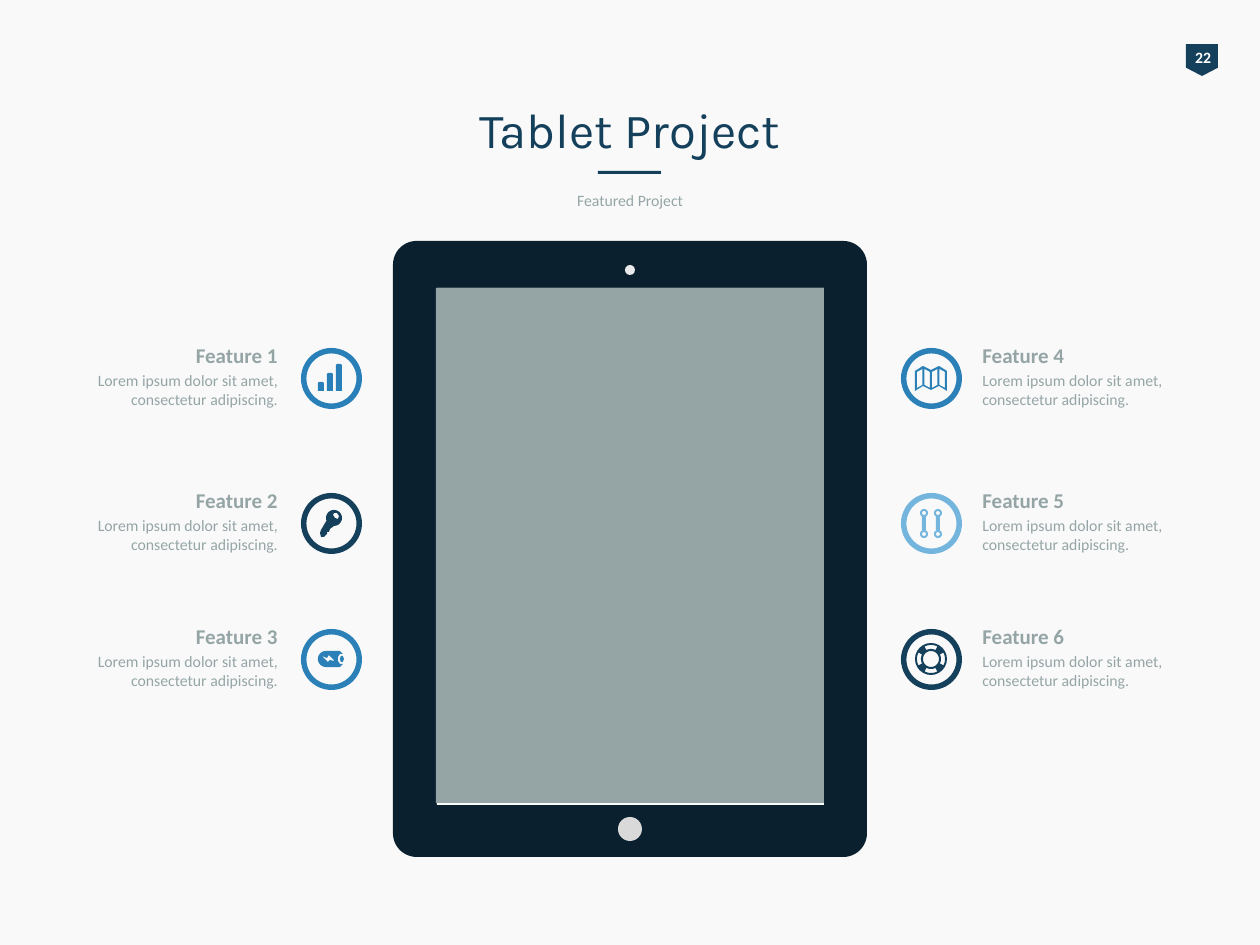
from math import cos, radians, sin

from pptx import Presentation
from pptx.dml.color import RGBColor
from pptx.enum.shapes import MSO_SHAPE
from pptx.enum.text import MSO_ANCHOR, MSO_AUTO_SIZE, PP_ALIGN
from pptx.util import Pt

PX = 914400 / 126
PALE, GREY, NAVY, INK = "F9F9F9", "95A5A6", "15405B", "0A202E"
BLUE, SKY = "2A80B7", "74B5DE"
RING = 61


def emu(n):
    return round(n * PX)


def color(code):
    return RGBColor.from_string(code)


def arc(x, y, r, start=0, end=360):
    """Points along a circle, in degrees clockwise from the right."""
    steps = 24
    turns = [radians(start + (end - start) * i / steps) for i in range(steps + 1)]
    return [(x + r * cos(t), y + r * sin(t)) for t in turns]


class Deck:
    """Holds the style and the current slide; lengths are in px."""

    font = "Calibri"

    def __init__(self):
        self.file = Presentation()
        self.file.slide_width, self.file.slide_height = emu(1260), emu(945)
        self.slide = self.file.slides.add_slide(self.file.slide_layouts[0])
        self.shapes = self.slide.shapes
        self.slide.background.fill.solid()
        self.slide.background.fill.fore_color.rgb = color(PALE)

    def paint(self, shape, fill):
        shape.shadow.inherit = False
        shape.fill.solid()
        shape.fill.fore_color.rgb = color(fill)
        shape.line.fill.background()
        return shape

    def shape(self, kind, box, fill, adjust=None):
        shape = self.shapes.add_shape(kind, *map(emu, box))
        if adjust is not None:
            shape.adjustments[0] = adjust
        return self.paint(shape, fill)

    def outline(self, x, y, paths, fill):
        """Draw closed paths as one shape; inner paths become holes."""
        paths = [[(emu(x + a), emu(y + b)) for a, b in path] for path in paths]
        pen = self.shapes.build_freeform(*paths[0][0], scale=1.0)
        for i, path in enumerate(paths):
            if i:
                pen.move_to(*path[0])
            pen.add_line_segments(path[1:], close=True)
        self.paint(pen.convert_to_shape(), fill)

    def style(self, line, size, fill, align, font=None, bold=False):
        line.alignment = align
        line.font.name = font or self.font
        line.font.size = Pt(size)
        line.font.bold = bold
        line.font.color.rgb = color(fill)

    def holder(self, index, box, text, size, fill, anchor, font=None):
        item = self.slide.placeholders[index]
        item.left, item.top, item.width, item.height = map(emu, box)
        frame = item.text_frame
        frame.text = text
        frame.auto_size = MSO_AUTO_SIZE.NONE
        frame.vertical_anchor = anchor
        line = frame.paragraphs[0]
        line.space_before = Pt(0)
        self.style(line, size, fill, PP_ALIGN.CENTER, font)

    def text(self, box, lines, fill, align, wrap=True):
        """Lines are (text, size, bold)."""
        frame = self.shapes.add_textbox(*map(emu, box)).text_frame
        frame.word_wrap = wrap
        for i, (text, size, bold) in enumerate(lines):
            line = frame.add_paragraph() if i else frame.paragraphs[0]
            line.text = text
            if i:
                line.space_before = Pt(size / 5)
            self.style(line, size, fill, align, bold=bold)

    def feature(self, x, y, name, icon, fill):
        """Ring at x, y with its icon, and text on the outer side."""
        left = x < 630
        self.shape(MSO_SHAPE.DONUT, (x, y, RING, RING), fill, 0.09)
        self.outline(x, y, icon, fill)
        lines = [(name, 12, True),
                 ("Lorem ipsum dolor sit amet, consectetur adipiscing.", 9, False)]
        self.text((82 if left else 970, y - 12, 208, 83), lines, GREY,
                  PP_ALIGN.RIGHT if left else PP_ALIGN.LEFT)


# Icons are lists of closed paths, measured from the corner of their ring.
def bars():
    paths = []
    for i in range(3):
        x, y = 17 + 9 * i, 34 - 9 * i
        paths.append([(x, 43), (x, y + 1), (x + 1, y), (x + 5, y),
                      (x + 6, y + 1), (x + 6, 43)])
    return paths


def key():
    shaft = [(20, 37), (19, 40), (20, 44), (23, 44), (26, 41), (26, 39),
             (28, 39), (29, 36)]
    hole = [(32, 22), (33, 20), (36, 20), (38, 23), (37, 26), (34, 25)]
    return [arc(33, 25, 8, 90, -200) + shaft, hole]


def cell():
    body = arc(25, 30, 8, 90, 270) + [(39, 22), (42, 25), (39, 25), (37, 28),
                                      (37, 32), (39, 35), (42, 35), (39, 38)]
    bolt = [(21, 27), (26, 29), (28, 26), (33, 31), (33, 32), (29, 31),
            (27, 33)]
    tip = [(40, 27), (42, 27), (43, 30), (42, 33), (40, 33), (39, 30)]
    return [body, bolt, tip]


def chart():
    """A folded map of four panels."""
    paths = [[(14, 23), (22, 18), (30, 22), (38, 18), (46, 23),
              (46, 43), (38, 38), (30, 42), (22, 38), (14, 43)]]
    for i in range(4):
        x, dip = 15 + 7.5 * i, 3 * (i % 2)
        paths.append([(x + 1, 24 - dip), (x + 6.5, 21 + dip),
                      (x + 6.5, 37 + dip), (x + 1, 40 - dip)])
    return paths


def rods():
    paths = []
    for x in (23, 37):
        paths.append([(x - 2, 24), (x + 2, 24), (x + 2, 37), (x - 2, 37)])
        for y in (20, 41):
            paths += [arc(x, y, 4), arc(x, y, 2)]
    return paths


def buoy():
    gaps = [arc(30, 30, 14, a - 27, a + 27) + arc(30, 30, 10, a + 27, a - 27)
            for a in range(0, 360, 90)]
    return [arc(30, 30, 16), arc(30, 30, 8)] + gaps


def main():
    deck = Deck()
    badge = deck.shape(MSO_SHAPE.PENTAGON, (1186, 44, 32, 32), NAVY, 0.26)
    badge.rotation = 90
    deck.text((1182, 42, 42, 24), [("22", 9, True)], "FFFFFF",
              PP_ALIGN.CENTER, wrap=False)
    deck.holder(0, (63, 102, 1134, 54), "Tablet Project", 28, "14405C",
                MSO_ANCHOR.MIDDLE, "Karla")
    deck.holder(1, (63, 184, 1134, 24), "Featured Project", 9, GREY,
                MSO_ANCHOR.TOP)
    deck.shape(MSO_SHAPE.RECTANGLE, (598, 171, 63, 3), NAVY)

    deck.shape(MSO_SHAPE.ROUNDED_RECTANGLE, (393, 241, 474, 616), INK, 0.05)
    deck.shape(MSO_SHAPE.OVAL, (618, 817, 24, 24), "D9D9D9")
    deck.shape(MSO_SHAPE.OVAL, (625, 265, 10, 10), "EAEAEA")
    deck.shape(MSO_SHAPE.RECTANGLE, (437, 288, 387, 517), PALE)
    deck.shape(MSO_SHAPE.RECTANGLE, (436, 288, 388, 515), GREY)

    icons = [(bars, "2980B9"), (key, NAVY), (cell, BLUE),
             (chart, BLUE), (rods, SKY), (buoy, NAVY)]
    tops = (348, 493, 629)
    for i, (icon, fill) in enumerate(icons):
        x = (301, 901)[i // 3]
        deck.feature(x, tops[i % 3], f"Feature {i + 1}", icon(), fill)
    deck.file.save("out.pptx")


if __name__ == "__main__":
    main()
